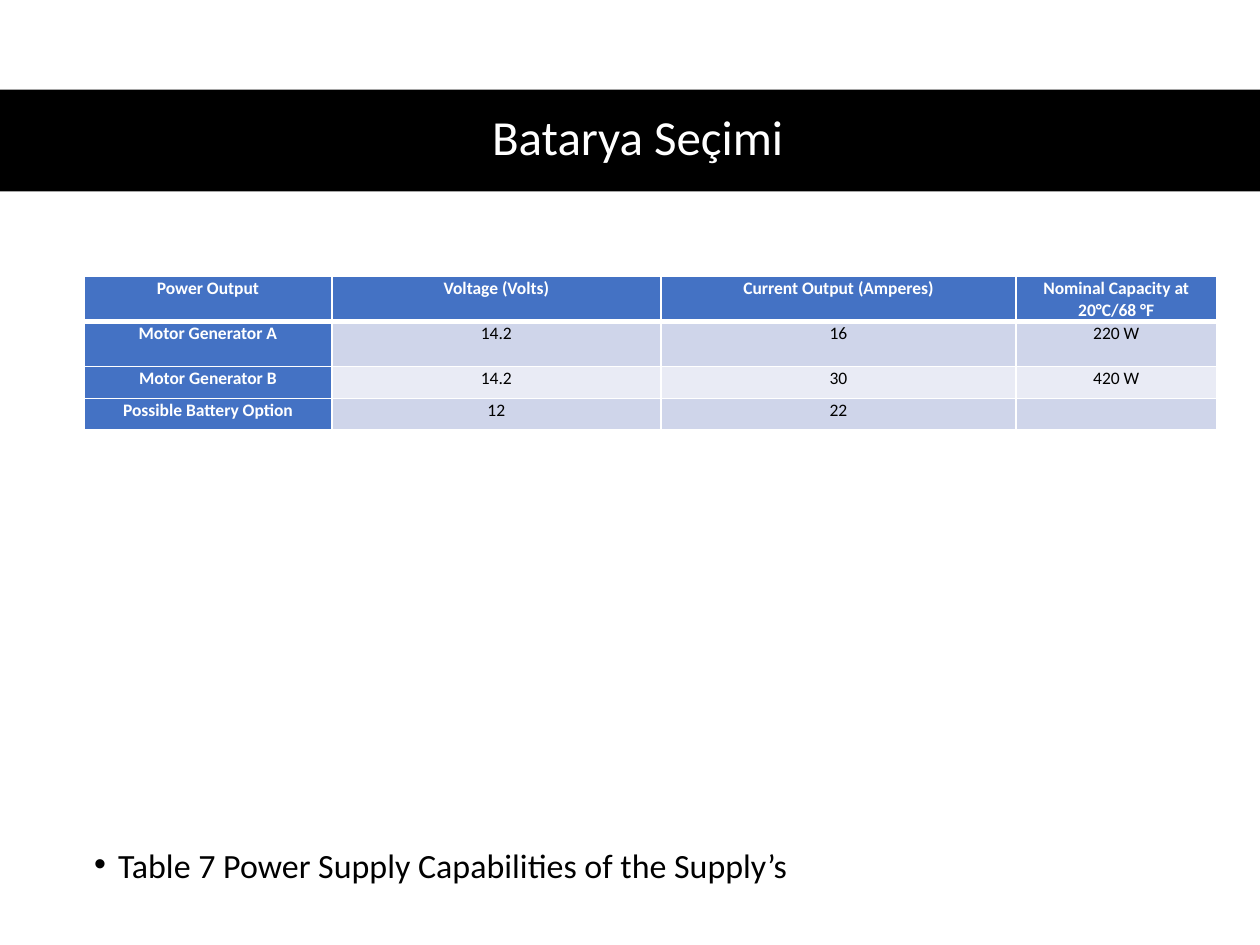
import pptx
import pptx.dml.color
import pptx.enum.shapes
import pptx.enum.text
import pptx.oxml.ns
import pptx.util
from lxml import etree

Cm, Pt = pptx.util.Cm, pptx.util.Pt
ALIGN, ANCHOR = pptx.enum.text.PP_ALIGN, pptx.enum.text.MSO_ANCHOR
qn = pptx.oxml.ns.qn

TITLE = "Batarya Seçimi"
CAPTION = "Table 7 Power Supply Capabilities of the Supply’s"
ROWS = [
    ["Power Output", "Voltage (Volts)", "Current Output (Amperes)",
     "Nominal Capacity at 20°C/68 °F"],
    ["Motor Generator A", "14.2", "16", "220 W"],
    ["Motor Generator B", "14.2", "30", "420 W"],
    ["Possible Battery Option", "12", "22", ""],
]
COL_WIDTHS = [5, 6.63, 7.16, 4.04]
ROW_HEIGHTS = [0.91, 0.91, 0.64, 0.64]
BLACK, WHITE, BLUE = "000000", "FFFFFF", "4472C4"
BANDS = ["E9EBF5", "CFD5EA"]


def rgb(color):
    return pptx.dml.color.RGBColor.from_string(color)


def style(p, size, color, bold=False, align=ALIGN.CENTER, spacing=1.0):
    p.alignment, p.line_spacing = align, spacing
    p.font.name, p.font.size, p.font.bold = "Calibri", Pt(size), bold
    p.font.color.rgb = rgb(color)


def add_text(slide, text, box, anchor, **look):
    tf = slide.shapes.add_textbox(*map(Cm, box)).text_frame
    tf.word_wrap, tf.vertical_anchor = True, anchor
    p = tf.paragraphs[0]
    p.text = text
    style(p, **look)
    return p


def add_bullet(p, indent):
    pPr = p._p.get_or_add_pPr()
    pPr.set("marL", str(indent))
    pPr.set("indent", str(-indent))
    bullet_font = etree.Element(qn("a:buFont"), typeface="Arial")
    bullet = etree.Element(qn("a:buChar"), char="•")
    spacing_end = pPr.find(qn("a:spcBef"))
    spacing_end.addnext(bullet_font)
    bullet_font.addnext(bullet)


def add_borders(cell, bottom):
    tcPr = cell._tc.get_or_add_tcPr()
    for side, width in zip("LRTB", (1, 1, 1, bottom)):
        ln = etree.SubElement(tcPr, qn(f"a:ln{side}"), w=str(Pt(width)))
        fill = etree.SubElement(ln, qn("a:solidFill"))
        etree.SubElement(fill, qn("a:srgbClr"), val=WHITE)


def fill_cell(cell, text, row, col):
    head = row == 0 or col == 0
    cell.margin_left = cell.margin_right = Cm(0.18)
    cell.margin_top = cell.margin_bottom = 0
    add_borders(cell, bottom=3 if row == 0 else 1)
    cell.fill.solid()
    cell.fill.fore_color.rgb = rgb(BLUE if head else BANDS[row % 2])
    p = cell.text_frame.paragraphs[0]
    p.text = text
    style(p, 10, WHITE if head else BLACK, bold=head, spacing=1.07)
    if not text:  # keeps the empty cell from stretching its row
        etree.SubElement(p._p, qn("a:endParaRPr"), sz="1000")


def main():
    prs = pptx.Presentation()
    prs.slide_width, prs.slide_height = Cm(25.4), Cm(19.05)
    s = prs.slides.add_slide(prs.slide_layouts[6])

    band = s.shapes.add_shape(pptx.enum.shapes.MSO_SHAPE.RECTANGLE,
                              0, Cm(1.81), prs.slide_width, Cm(2.05))
    band.shadow.inherit = False
    band.fill.solid()
    band.fill.fore_color.rgb = rgb(BLACK)
    band.line.fill.background()

    add_text(s, TITLE, (1.17, 1.78, 23.37, 2.05), ANCHOR.MIDDLE,
             size=28, color=WHITE, spacing=0.9)

    table = s.shapes.add_table(len(ROWS), len(COL_WIDTHS), Cm(1.69), Cm(5.57),
                               Cm(sum(COL_WIDTHS)), Cm(sum(ROW_HEIGHTS))).table
    for column, width in zip(table.columns, COL_WIDTHS):
        column.width = Cm(width)
    for r, (texts, height) in enumerate(zip(ROWS, ROW_HEIGHTS)):
        table.rows[r].height = Cm(height)
        for c, text in enumerate(texts):
            fill_cell(table.cell(r, c), text, r, c)

    p = add_text(s, CAPTION, (1.65, 17.12, 22.1, 0.89), ANCHOR.TOP,
                 size=19.4, color=BLACK, align=ALIGN.LEFT, spacing=0.7)
    p.space_before = Pt(7.5)
    add_bullet(p, Cm(0.48))

    prs.save("out.pptx")


if __name__ == "__main__":
    main()
